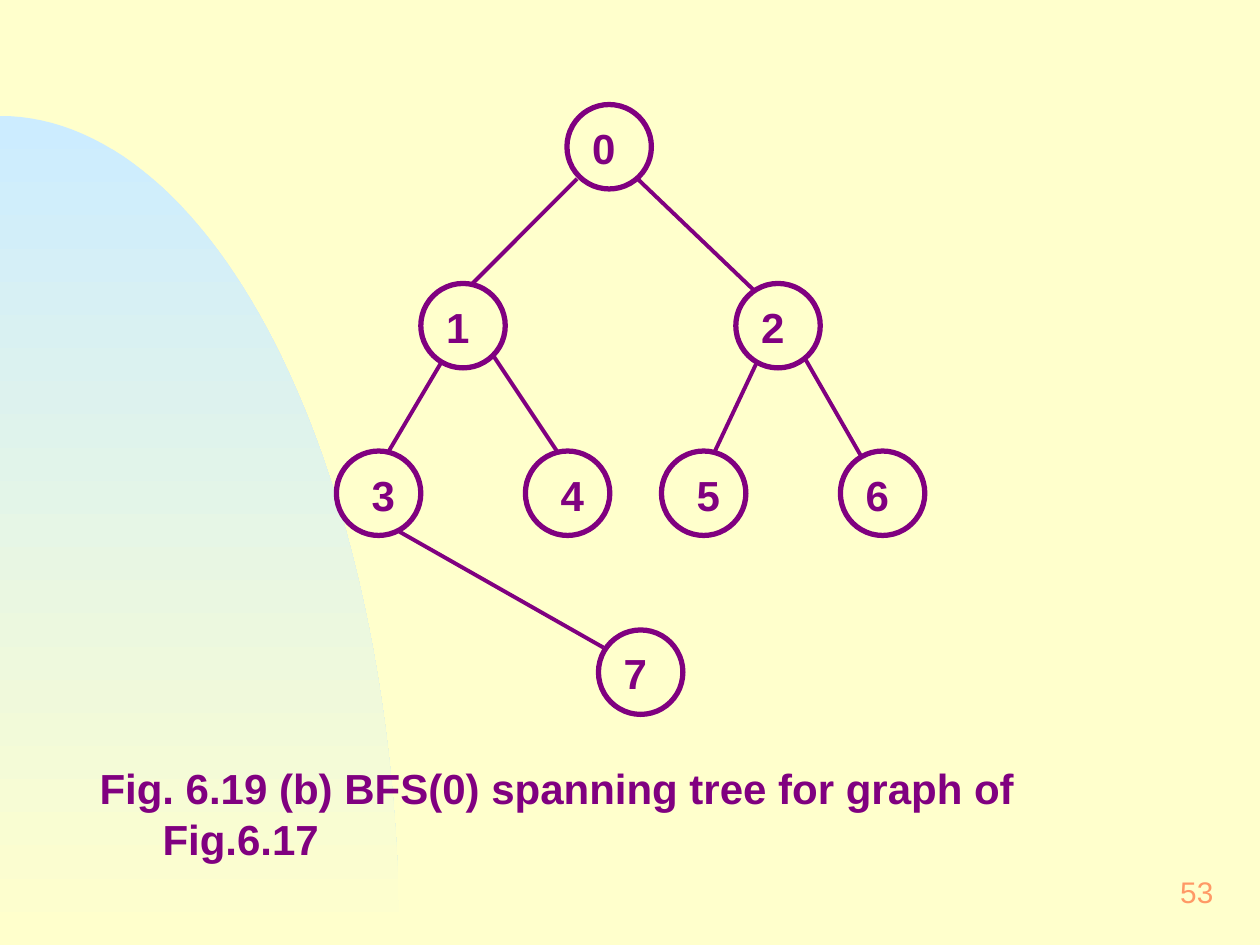
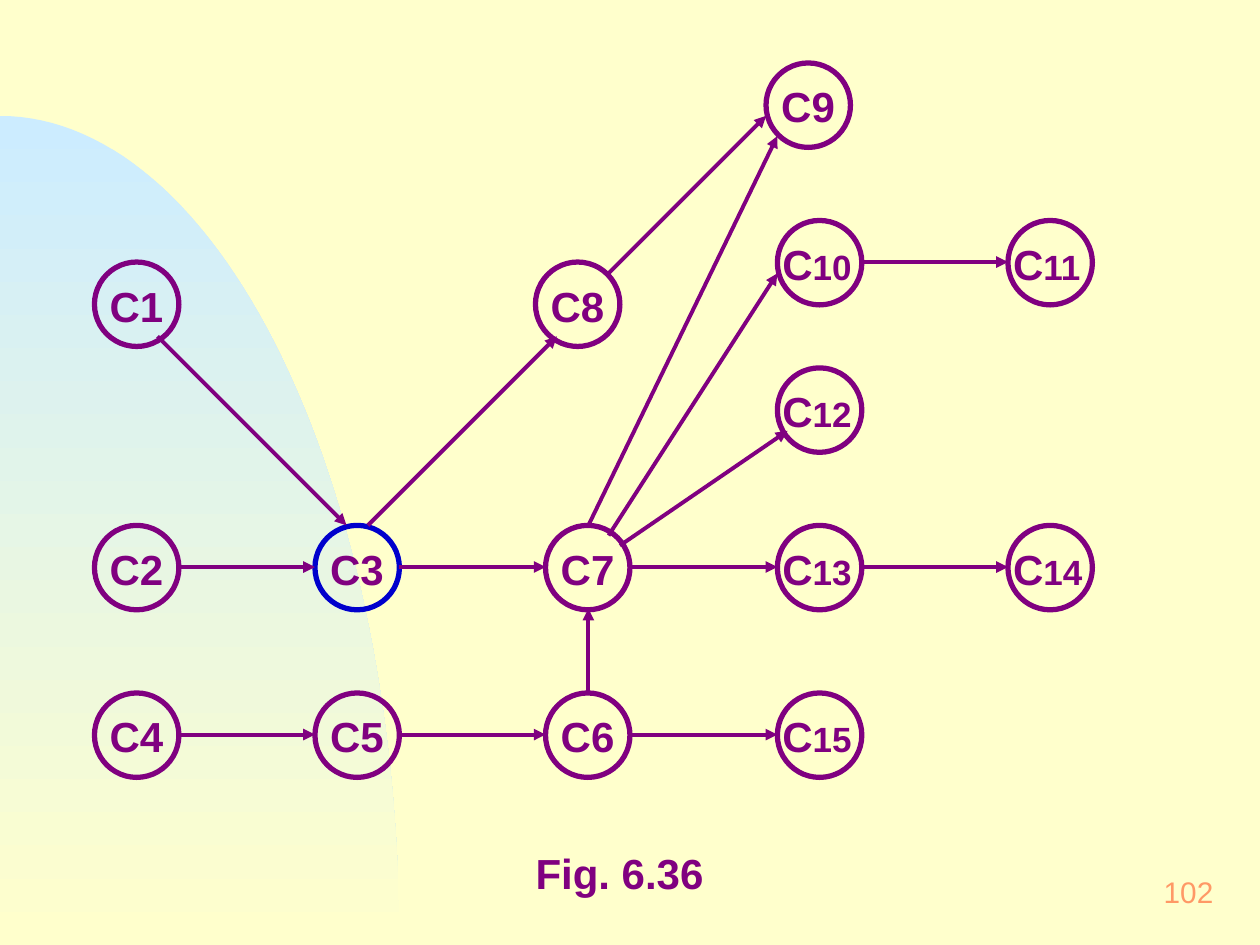
"""Build two slides on graph search: a BFS spanning tree and a course network."""
import math

from lxml import etree
from pptx import Presentation
from pptx import util as u
from pptx.dml.color import RGBColor
from pptx.enum import shapes, text
from pptx.oxml import ns

CREAM = RGBColor(0xFF, 0xFF, 0xCC)
SKY = RGBColor(0xCC, 0xEC, 0xFF)
PURPLE = RGBColor(0x80, 0x00, 0x80)
BLUE = RGBColor(0x00, 0x00, 0xCC)
ORANGE = RGBColor(0xFF, 0x99, 0x66)
FONT = "Arial"
NODE = 0.67
RADIUS = 0.33

TREE_NODES = {
    "0": (1.83, 0), "1": (0.67, 1.42), "2": (3.17, 1.42), "3": (0, 2.75),
    "4": (1.5, 2.75), "5": (2.58, 2.75), "6": (4, 2.75), "7": (2.08, 4.17),
}
TREE_SHIFTED = ("3", "4", "5")
TREE_EDGES = [
    (1.91, 0.59, 1.08, 1.42), (2.39, 0.59, 3.31, 1.47),
    (0.83, 2.05, 0.41, 2.76), (1.25, 2, 1.75, 2.75),
    (3.33, 2.06, 3, 2.76), (3.71, 2, 4.17, 2.8), (0.5, 3.39, 2.12, 4.31),
]

COURSE_NODES = {
    "C1": (0, 1.58), "C2": (0, 3.67), "C4": (0, 5), "C3": (1.75, 3.67),
    "C5": (1.75, 5), "C6": (3.58, 5), "C15": (5.42, 5), "C7": (3.58, 3.67),
    "C8": (3.5, 1.58), "C9": (5.33, 0), "C13": (5.42, 3.67),
    "C12": (5.42, 2.42), "C10": (5.42, 1.25), "C14": (7.25, 3.67),
    "C11": (7.25, 1.25),
}
COURSE_ROWS = [
    ("C2", "C3", "C7", "C13", "C14"), ("C4", "C5", "C6", "C15"), ("C10", "C11"),
]
COURSE_SLANTS = [
    (0.5, 2.17, 2, 3.67), (2.17, 3.67, 3.67, 2.17), (4.08, 1.67, 5.33, 0.42),
    (3.92, 3.67, 5.42, 0.58), (4.08, 3.75, 5.42, 1.67),
    (4.17, 3.83, 5.5, 2.92), (3.92, 5, 3.92, 4.33),
]


def add_text(s, left, top, width, height, runs, size=24, color=PURPLE, bold=True):
    """Add a one-paragraph text box from (text, size) runs and return it."""
    box = s.shapes.add_textbox(*map(u.Inches, (left, top, width, height)))
    tf = box.text_frame
    tf.word_wrap = True
    tf.margin_left = tf.margin_right = u.Inches(0.12)
    tf.margin_top = tf.margin_bottom = u.Inches(0.06)
    p = tf.paragraphs[0]
    p.font.name, p.font.size, p.font.bold = FONT, u.Pt(size), bold
    p.font.color.rgb = color
    for words, points in runs:
        r = p.add_run()
        r.text = words
        r.font.name, r.font.size, r.font.bold = FONT, u.Pt(points), bold
        r.font.color.rgb = color
    return box


def add_hanging(s, left, top, width, height, runs):
    """Add purple text with a half-inch hanging indent."""
    p = add_text(s, left, top, width, height, runs).text_frame.paragraphs[0]
    p.line_spacing = u.Pt(29)
    pPr = p._p.get_or_add_pPr()
    pPr.set("marL", str(u.Inches(0.5)))
    pPr.set("indent", str(u.Inches(-0.5)))


def add_page_number(s, number):
    """Add the slide number at the bottom right."""
    box = add_text(s, 7.67, 6.83, 2.08, 0.5, [(number, 17)], 17, ORANGE, False)
    box.text_frame.vertical_anchor = text.MSO_ANCHOR.MIDDLE
    box.text_frame.paragraphs[0].alignment = text.PP_ALIGN.RIGHT


def add_node(s, left, top, label, dx, width, color=PURPLE):
    """Add a ringed node and its label, shifted by dx from the ring."""
    sp = s.shapes.add_shape(
        shapes.MSO_SHAPE.OVAL, *map(u.Inches, (left, top, NODE, NODE)))
    sp.shadow.inherit = False
    sp.fill.background()
    sp.line.color.rgb = color
    sp.line.width = u.Pt(3)
    runs = [(label[0], 24), (label[1:], 20)] if len(label) > 2 else [(label, 24)]
    add_hanging(s, left + dx, top + 0.08, width, 0.52, runs)


def add_edge(s, left, top, ends, arrow):
    """Add a line between two points of the box at left, top."""
    x1, y1, x2, y2 = ends
    line = s.shapes.add_connector(
        shapes.MSO_CONNECTOR.STRAIGHT,
        *map(u.Inches, (left + x1, top + y1, left + x2, top + y2)))
    line.line.color.rgb = PURPLE
    line.line.width = u.Pt(2.25)
    if arrow:
        etree.SubElement(line.line._get_or_add_ln(), ns.qn("a:tailEnd"), type="triangle")
    etree.SubElement(line._element.spPr, ns.qn("a:effectLst"))


def style_master(prs, s):
    """Give the master its cream background and quarter-ellipse band."""
    master = prs.slide_master
    master.background.fill.solid()
    master.background.fill.fore_color.rgb = CREAM
    width, height, bottom, steps = 3.17, 6.58, 7.5, 60
    angles = [math.pi / 2 * i / steps for i in range(steps + 1)]
    points = [(u.Inches(width * math.sin(a)), u.Inches(bottom - height * math.cos(a)))
              for a in angles]
    builder = s.shapes.build_freeform(*points[0])
    builder.add_line_segments(points[1:] + [(0, u.Inches(bottom))], close=True)
    band = builder.convert_to_shape()
    band.shadow.inherit = False
    band.line.fill.background()
    band.fill.gradient()
    band.fill.gradient_angle = 270
    for stop, color in zip(band.fill.gradient_stops, (SKY, CREAM)):
        stop.color.rgb = color
    master.shapes.element.insert(2, band.element)


def draw_tree(s, left, top):
    """Draw the spanning tree in the box at left, top."""
    for label, (x, y) in TREE_NODES.items():
        dx = 0.16 if label in TREE_SHIFTED else 0.08
        add_node(s, left + x, top + y, label, dx, 0.5)
    for ends in TREE_EDGES:
        add_edge(s, left, top, ends, arrow=False)


def draw_courses(s, left, top):
    """Draw the course network in the box at left, top."""
    for label, (x, y) in COURSE_NODES.items():
        dx, width = (-0.08, 1) if len(label) > 2 else (0, 0.75)
        color = BLUE if label == "C3" else PURPLE
        add_node(s, left + x, top + y, label, dx, width, color)
    for row in COURSE_ROWS:
        for start, end in zip(row, row[1:]):
            (x1, y1), (x2, y2) = COURSE_NODES[start], COURSE_NODES[end]
            ends = (x1 + NODE, y1 + RADIUS, x2, y2 + RADIUS)
            add_edge(s, left, top, ends, arrow=True)
    for ends in COURSE_SLANTS:
        add_edge(s, left, top, ends, arrow=True)


def main():
    """Build and save the presentation."""
    prs = Presentation()
    prs.slide_width, prs.slide_height = u.Inches(10), u.Inches(7.5)
    blank = prs.slide_layouts[6]

    s = prs.slides.add_slide(blank)
    style_master(prs, s)
    add_page_number(s, "53")
    draw_tree(s, 2.67, 0.83)
    add_hanging(s, 0.67, 5.99, 8.83, 0.92,
                [("Fig. 6.19 (b) BFS(0) spanning tree for graph of Fig.6.17", 24)])

    s = prs.slides.add_slide(blank)
    add_page_number(s, "102")
    draw_courses(s, 0.75, 0.5)
    add_hanging(s, 4.13, 6.66, 1.92, 0.52, [("Fig. 6.36", 24)])

    prs.save("out.pptx")


if __name__ == "__main__":
    main()
